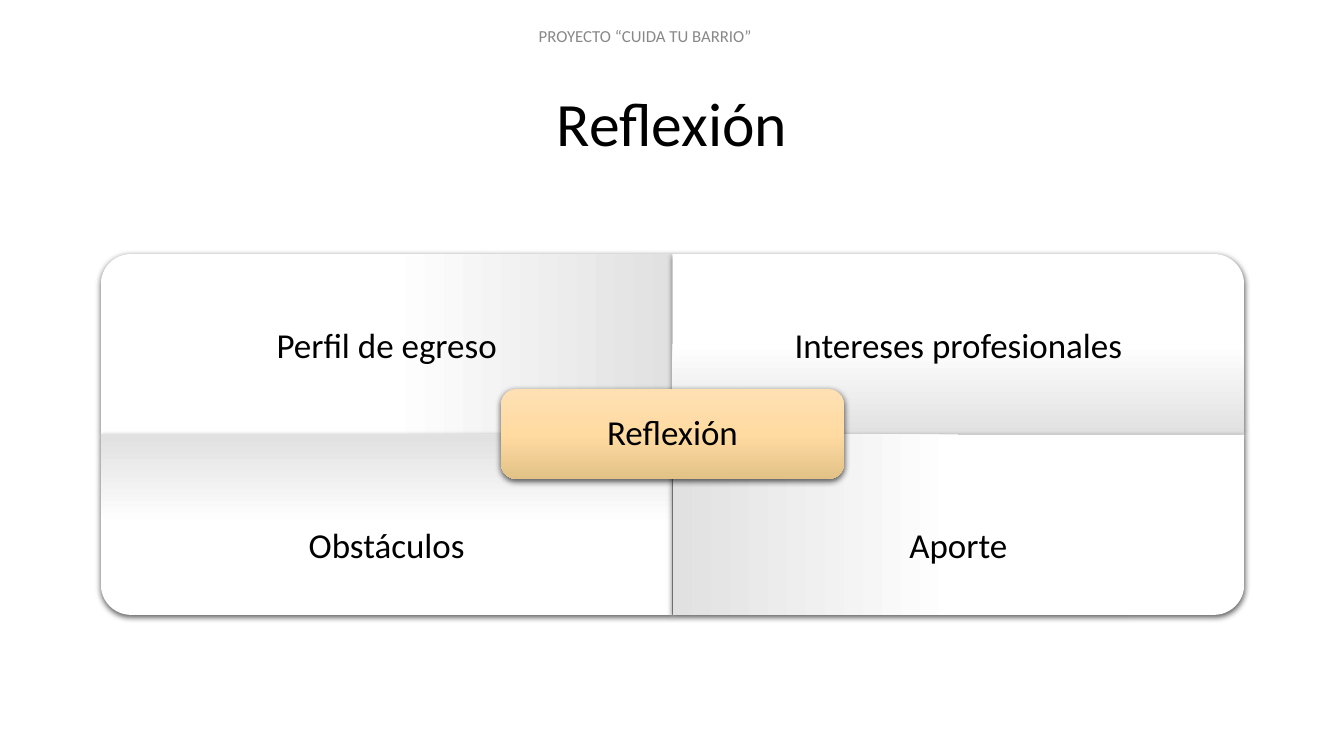
from copy import deepcopy

from pptx import Presentation
from pptx.dml.color import RGBColor
from pptx.enum.shapes import MSO_SHAPE
from pptx.enum.text import MSO_ANCHOR, MSO_AUTO_SIZE, PP_ALIGN
from pptx.oxml import parse_xml
from pptx.oxml.ns import qn
from pptx.util import Inches, Pt

ROUND_ONE = MSO_SHAPE.ROUND_1_RECTANGLE
ROUNDED = MSO_SHAPE.ROUNDED_RECTANGLE
CENTER = PP_ALIGN.CENTER
TOP, MIDDLE = MSO_ANCHOR.TOP, MSO_ANCHOR.MIDDLE
NO_AUTOFIT = MSO_AUTO_SIZE.NONE

FONT = "Calibri"
BLACK = RGBColor(0x00, 0x00, 0x00)
GRAY = RGBColor(0x88, 0x88, 0x88)
WHITE = RGBColor(0xFF, 0xFF, 0xFF)
LIGHT_GRAY = RGBColor(0xE1, 0xE1, 0xE1)
QUADRANT_COLORS = (WHITE, WHITE, LIGHT_GRAY)
CENTER_COLORS = (
    RGBColor(0xFE, 0xE0, 0xB3),
    RGBColor(0xFF, 0xDB, 0xA2),
    RGBColor(0xE3, 0xC2, 0x87),
)
SHADOW_XML = (
    '<a:outerShdw xmlns:a="http://schemas.openxmlformats.org/drawingml/2006/main" '
    'blurRad="57150" dist="19050" dir="5400000" algn="ctr" rotWithShape="0">'
    '<a:srgbClr val="000000"><a:alpha val="63000"/></a:srgbClr></a:outerShdw>'
)

MATRIX_LEFT, MATRIX_TOP = 1, 2.52
CELL_WIDTH, CELL_HEIGHT = 5.67, 1.79
LABEL_HEIGHT = 1.34
QUADRANTS = (
    ("Perfil de egreso", 0, 0, 270),
    ("Intereses profesionales", 0, 1, 0),
    ("Obstáculos", 1, 0, 180),
    ("Aporte", 1, 1, 90),
)


def place(shape, left, top, width, height):
    """Move and size a shape in inches."""
    shape.left, shape.top = Inches(left), Inches(top)
    shape.width, shape.height = Inches(width), Inches(height)


def write_text(shape, text, size=25, color=BLACK, anchor=MIDDLE,
               insets=(0.1, 0.1, 0.1, 0.1), spacing=0.9):
    """Write one centred, formatted paragraph into a shape."""
    frame = shape.text_frame
    frame.word_wrap = True
    frame.auto_size = NO_AUTOFIT
    frame.vertical_anchor = anchor
    (frame.margin_left, frame.margin_top,
     frame.margin_right, frame.margin_bottom) = map(Inches, insets)
    paragraph = frame.paragraphs[0]
    paragraph.alignment = CENTER
    paragraph.line_spacing = spacing
    run = paragraph.add_run()
    run.text = text
    run.font.name = FONT
    run.font.size = Pt(size)
    run.font.color.rgb = color


def add_text(slide, text, left, top, width, height, **text_format):
    """Add a text box."""
    box = slide.shapes.add_textbox(
        Inches(left), Inches(top), Inches(width), Inches(height))
    write_text(box, text, **text_format)


def add_panel(slide, kind, left, top, width, height, colors):
    """Add a borderless shape with a downward gradient and a soft shadow."""
    shape = slide.shapes.add_shape(
        kind, Inches(left), Inches(top), Inches(width), Inches(height))
    shape.adjustments[0] = 0.167
    shape.line.fill.background()
    shape.fill.gradient()
    shape.fill.gradient_angle = 270
    stop_list = shape.element.spPr.find(f"{qn('a:gradFill')}/{qn('a:gsLst')}")
    stop_list.append(deepcopy(stop_list[0]))
    for index, (stop, color) in enumerate(zip(shape.fill.gradient_stops, colors)):
        stop.position = index / 2
        stop.color.rgb = color
    shape.shadow.inherit = False
    shape.element.spPr.find(qn("a:effectLst")).append(parse_xml(SHADOW_XML))
    return shape


def add_quadrant(slide, text, row, column, rotation):
    """Add a matrix cell with its rounded corner outward, and its label."""
    left = MATRIX_LEFT + column * CELL_WIDTH
    top = MATRIX_TOP + row * CELL_HEIGHT
    width, height = CELL_WIDTH, CELL_HEIGHT
    if rotation % 180:
        width, height = height, width
    panel = add_panel(slide, ROUND_ONE, left + (CELL_WIDTH - width) / 2,
                      top + (CELL_HEIGHT - height) / 2, width, height,
                      QUADRANT_COLORS)
    panel.rotation = rotation
    label_top = top + row * (CELL_HEIGHT - LABEL_HEIGHT)
    top_inset = 0.19 if row else 0.69
    add_text(slide, text, left, label_top, CELL_WIDTH, LABEL_HEIGHT,
             insets=(0.19, top_inset, 0.19, 0.19))


def main():
    """Build the reflection matrix slide."""
    presentation = Presentation()
    presentation.slide_width, presentation.slide_height = Inches(13.33), Inches(7.5)
    slide = presentation.slides.add_slide(presentation.slide_layouts[5])
    title = slide.shapes.title
    place(title, 0, 0.79, 13.33, 0.84)
    write_text(title, "Reflexión", size=44, anchor=TOP,
               insets=(0.1, 0.05, 0.1, 0.05), spacing=1.0)
    for quadrant in QUADRANTS:
        add_quadrant(slide, *quadrant)
    center = add_panel(slide, ROUNDED, 4.97, 3.86, 3.4, 0.89, CENTER_COLORS)
    write_text(center, "Reflexión")
    add_text(slide, "PROYECTO “CUIDA TU BARRIO”", 4.15, 0.19, 4.5, 0.34,
             size=12, color=GRAY, insets=(0.1, 0.05, 0.1, 0.05), spacing=1.0)
    presentation.save("out.pptx")


if __name__ == "__main__":
    main()
